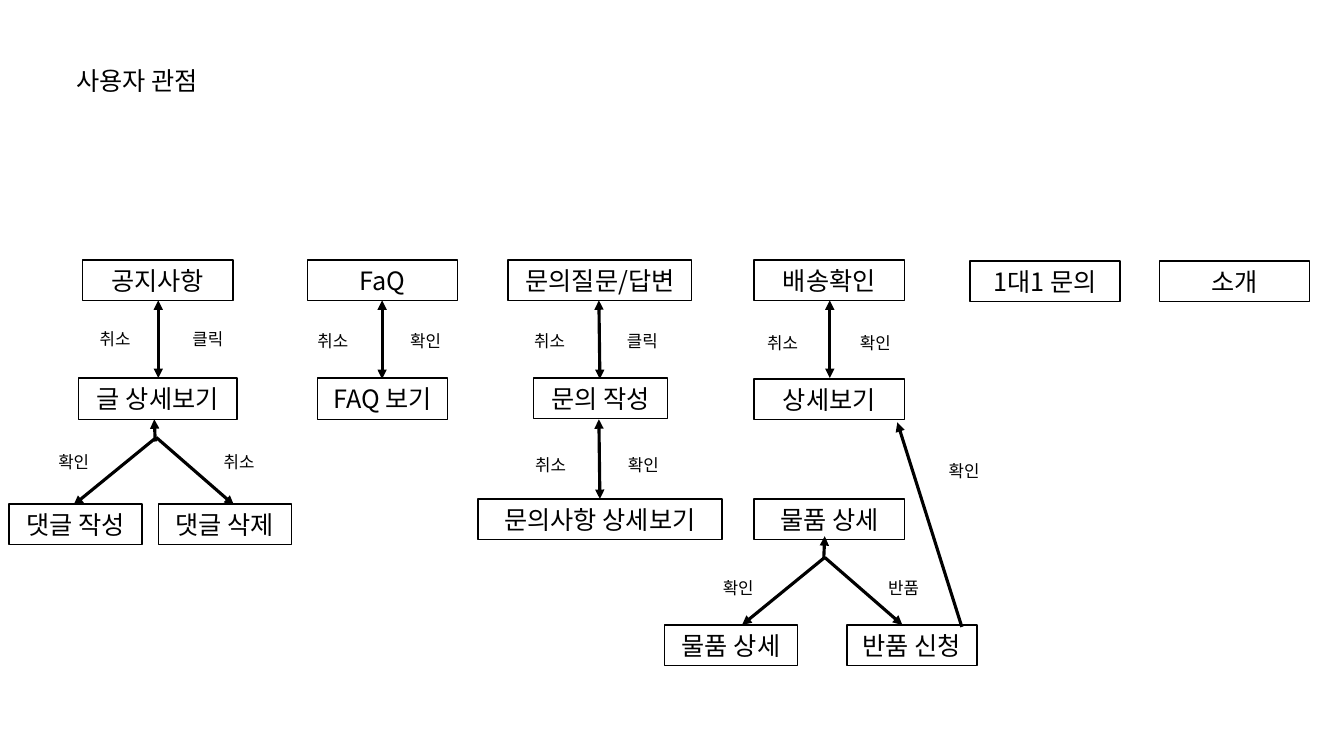
import pptx
import pptx.util
import pptx.dml.color
import pptx.enum.shapes
import pptx.enum.text
import pptx.oxml
import pptx.oxml.ns

BLACK = pptx.dml.color.RGBColor(0, 0, 0)
WHITE = pptx.dml.color.RGBColor(255, 255, 255)
FONT = "Noto Sans CJK KR"
SCALE = 9144
ALIGN = pptx.enum.text.PP_ALIGN
ANCHOR = pptx.enum.text.MSO_ANCHOR
qn = pptx.oxml.ns.qn


class Chart:
    def __init__(self, deck):
        self.shapes = deck.slides.add_slide(deck.slide_layouts[6]).shapes

    def px(self, *sizes):
        return [pptx.util.Emu(size * SCALE) for size in sizes]

    def fill_text(self, shape, text, size, align, anchor, wrap):
        frame = shape.text_frame
        frame.word_wrap = wrap
        frame.vertical_anchor = anchor
        para = frame.paragraphs[0]
        para.text = text
        para.alignment = align
        font = para.font
        font.size = pptx.util.Pt(size)
        font.color.rgb = BLACK
        font.name = FONT
        props = para._p.pPr.find(qn("a:defRPr"))
        props.append(props.makeelement(qn("a:ea"), {"typeface": FONT}))

    def box(self, text, x, y, w, h=40):
        kind = pptx.enum.shapes.MSO_SHAPE.RECTANGLE
        shape = self.shapes.add_shape(kind, *self.px(x, y, w, h))
        shape.shadow.inherit = False
        shape.fill.solid()
        shape.fill.fore_color.rgb = WHITE
        shape.line.color.rgb = BLACK
        shape.line.width = pptx.util.Pt(1)
        self.fill_text(shape, text, 18, ALIGN.CENTER, ANCHOR.MIDDLE, False)

    def label(self, text, x, y, w=61, h=30, size=12):
        shape = self.shapes.add_textbox(*self.px(x, y, w, h))
        self.fill_text(shape, text, size, ALIGN.LEFT, ANCHOR.TOP, True)

    def arrow(self, x1, y1, x2, y2, ends=("tailEnd",)):
        kind = pptx.enum.shapes.MSO_CONNECTOR.STRAIGHT
        line = self.shapes.add_connector(kind, *self.px(x1, y1, x2, y2))
        line.line.color.rgb = BLACK
        line.line.width = pptx.util.Pt(2.25)
        props = line._element.spPr
        stroke = props.find(qn("a:ln"))
        for end in ends:
            stroke.append(stroke.makeelement(qn("a:" + end), {"type": "triangle"}))
        props.append(props.makeelement(qn("a:effectLst"), {}))

    def link(self, x1, y1, x2, y2, left, top, word):
        self.arrow(x1, y1, x2, y2, ("headEnd", "tailEnd"))
        self.label("취소", left, top)
        self.label(word, left + 92, top)

    def fork(self, x, y, stub):
        self.arrow(x, y, x - 82, y + 67)
        self.arrow(x, y, x + 77, y + 67)
        self.arrow(*stub)


BOXES = [
    ("공지사항", 82, 258, 149),
    ("FaQ", 305, 258, 149),
    ("문의질문/답변", 504, 258, 182),
    ("배송확인", 748, 258, 149),
    ("1대1 문의", 962, 259, 149),
    ("소개", 1150, 259, 149),
    ("글 상세보기", 78, 375, 157, 41),
    ("FAQ 보기", 315, 375, 129, 41),
    ("문의 작성", 529, 375, 133),
    ("상세보기", 748, 376, 149),
    ("문의사항 상세보기", 474, 495, 242),
    ("물품 상세", 748, 495, 149),
    ("댓글 작성", 9, 500, 132),
    ("댓글 삭제", 157, 500, 132),
    ("물품 상세", 659, 620, 132),
    ("반품 신청", 840, 620, 129),
]
LINKS = [
    (157, 298, 157, 375, 89, 321, "클릭"),
    (379, 298, 379, 376, 305, 323, "확인"),
    (594, 298, 595, 376, 520, 323, "클릭"),
    (594, 416, 595, 495, 521, 446, "확인"),
    (823, 298, 823, 375, 751, 325, "확인"),
]
FORKS = [
    (155, 434, (154, 438, 153, 416)),
    (818, 553, (817, 555, 818, 532)),
]
LABELS = [
    ("확인", 48, 443),
    ("취소", 212, 443),
    ("확인", 707, 568),
    ("반품", 871, 568),
    ("확인", 931, 452),
    ("사용자 관점", 66, 60, 161, 40, 18),
]


def main():
    deck = pptx.Presentation()
    deck.slide_width = pptx.util.Emu(1333 * SCALE)
    deck.slide_height = pptx.util.Emu(750 * SCALE)
    chart = Chart(deck)
    for box in BOXES:
        chart.box(*box)
    for link in LINKS:
        chart.link(*link)
    for fork in FORKS:
        chart.fork(*fork)
    chart.arrow(954, 622, 890, 419)
    for label in LABELS:
        chart.label(*label)
    deck.save("out.pptx")


if __name__ == "__main__":
    main()
